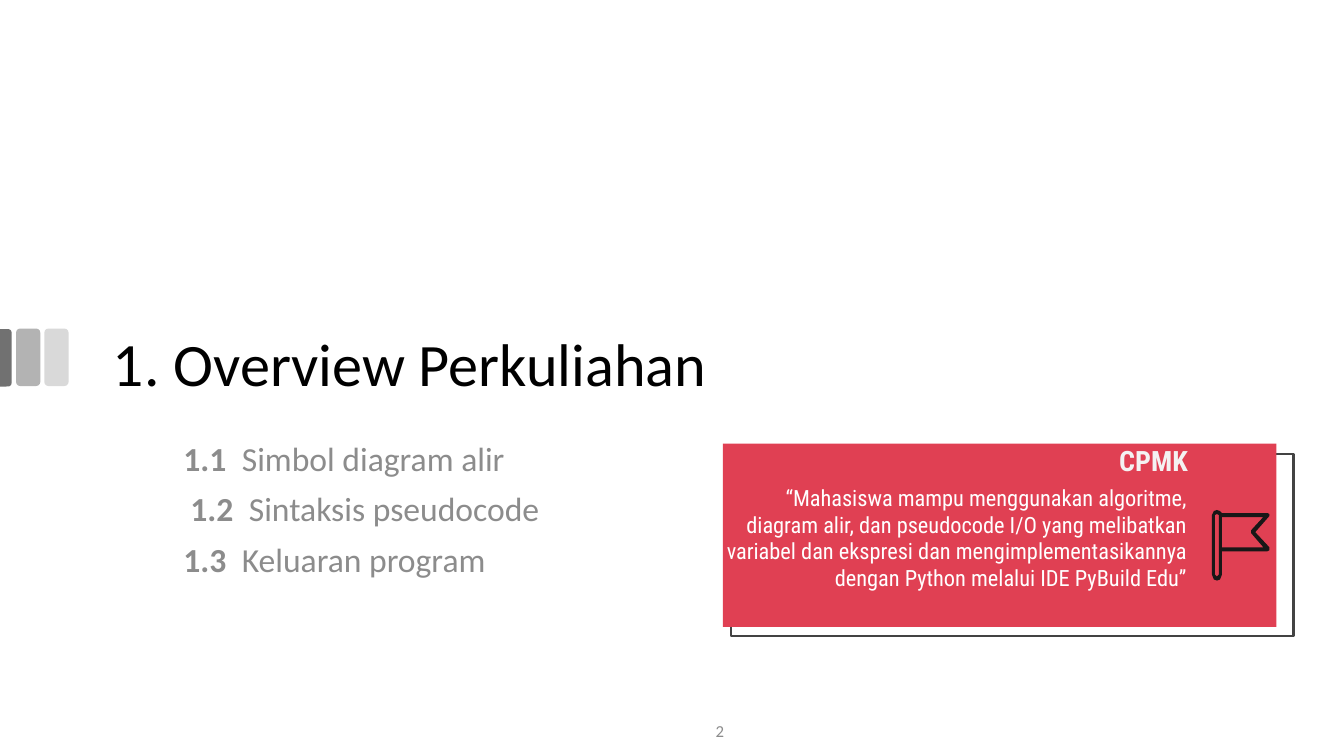
from pptx import Presentation
from pptx.dml.color import RGBColor
from pptx.enum.shapes import MSO_SHAPE as Preset
from pptx.enum.text import MSO_ANCHOR as Anchor, MSO_AUTO_SIZE as AutoSize, PP_ALIGN as Align
from pptx.util import Pt

PX = 9144  # 100 px to the inch

BLACK = RGBColor(0x00, 0x00, 0x00)
WHITE = RGBColor(0xFF, 0xFF, 0xFF)
OFF_WHITE = RGBColor(0xF4, 0xF2, 0xF2)
GREY = RGBColor(0x8C, 0x8C, 0x8C)
LIGHT_BAR = RGBColor(0xD9, 0xD9, 0xD9)
MID_BAR = RGBColor(0xB3, 0xB3, 0xB3)
DARK_BAR = RGBColor(0x71, 0x71, 0x71)
FRAME = RGBColor(0x43, 0x43, 0x43)
RED = RGBColor(0xE0, 0x40, 0x53)
INK = RGBColor(0x18, 0x17, 0x17)


def emu(*lengths):
    return [length * PX for length in lengths]


def write(box, runs, *, font="Calibri", color=GREY, align=Align.LEFT, anchor=Anchor.TOP,
          inset=5, spacing=None, before=0, indents=(0,)):
    """Fill box with one paragraph per indent; runs holds (text, size, bold) lists."""
    frame = box.text_frame
    frame.word_wrap, frame.auto_size = True, AutoSize.NONE
    frame.vertical_anchor = anchor
    frame.margin_left = frame.margin_right = 10 * PX
    frame.margin_top = frame.margin_bottom = inset * PX
    for index, (line, indent) in enumerate(zip(runs, indents)):
        paragraph = frame.add_paragraph() if index else frame.paragraphs[0]
        paragraph.alignment = align
        paragraph.line_spacing = spacing
        paragraph.space_before = Pt(before)
        if indent:
            properties = paragraph._p.get_or_add_pPr()
            properties.set("marL", str((indent + 58) * PX))
            properties.set("indent", str(-58 * PX))
        for text, size, bold in line:
            run = paragraph.add_run()
            run.text = text
            run.font.name, run.font.size, run.font.bold = font, Pt(size), bold
            run.font.color.rgb = color


deck = Presentation()
deck.slide_width, deck.slide_height = emu(1333, 750)
slide = deck.slides.add_slide(deck.slide_layouts[5])
shapes = slide.shapes

# Bars at the left edge and the red card
for preset, place, fill, corners in (
    (Preset.ROUNDED_RECTANGLE, (44, 326, 24, 57), LIGHT_BAR, (0.17,)),
    (Preset.ROUNDED_RECTANGLE, (16, 326, 24, 57), MID_BAR, (0.17,)),
    (Preset.ROUND_2_SAME_RECTANGLE, (-23, 349, 57, 12), DARK_BAR, (0.29, 0)),
    (Preset.RECTANGLE, (725, 450, 558, 181), None, ()),
    (Preset.RECTANGLE, (717, 440, 549, 182), RED, ()),
):
    block = shapes.add_shape(preset, *emu(*place))
    block.shadow.inherit = False
    for number, corner in enumerate(corners):
        block.adjustments[number] = corner
    if preset == Preset.ROUND_2_SAME_RECTANGLE:
        block.rotation = 90
    if fill is None:
        block.fill.background()
        block.line.color.rgb, block.line.width = FRAME, Pt(1.5)
    else:
        block.fill.solid()
        block.fill.fore_color.rgb = fill
        block.line.fill.background()

# Title and topics
title = shapes.title
title.left, title.top, title.width, title.height = emu(102, 302, 1150, 100)
write(title, [[("1. ", 44, False), ("Overview Perkuliahan", 43, False)]],
      color=BLACK, anchor=Anchor.BOTTOM, spacing=0.9)

topics = ("Simbol diagram alir", "Sintaksis pseudocode", "Keluaran program")
write(shapes.add_textbox(*emu(116, 434, 759, 217)),
      [[(f"1.{number}\t", 24, True), (topic, 24, False)]
       for number, topic in enumerate(topics, 1)],
      align=Align.JUSTIFY, spacing=0.9, before=10, indents=(56, 63, 56))

# Learning outcome
outcome = ("“Mahasiswa mampu menggunakan algoritme, diagram alir, dan pseudocode I/O "
           "yang melibatkan variabel dan ekspresi dan mengimplementasikannya "
           "dengan Python melalui IDE PyBuild Edu”")
write(shapes.add_textbox(*emu(704, 470, 483, 133)), [[(outcome, 16, False)]],
      font="Roboto Condensed", color=WHITE, align=Align.RIGHT, inset=10)
write(shapes.add_textbox(*emu(837, 422, 351, 61)), [[("CPMK", 20, True)]],
      font="Roboto Condensed", color=OFF_WHITE, align=Align.RIGHT,
      anchor=Anchor.BOTTOM, inset=10)

# Flag: outer edge, then the openings in the cloth and the pole
flag_edge = ((1207, 506), (1204, 507), (1202, 511), (1202, 570), (1204, 575), (1207, 576),
             (1210, 575), (1212, 570), (1212, 547), (1257, 547), (1259, 546), (1259, 543),
             (1245, 528), (1259, 512), (1259, 510), (1257, 509), (1212, 509), (1210, 507))
cloth_opening = ((1253, 513), (1241, 526), (1241, 529), (1253, 543), (1212, 543), (1212, 513))
pole_opening = ((1207, 510), (1209, 511), (1209, 570), (1207, 572), (1205, 570), (1205, 511))
outline = shapes.build_freeform(*flag_edge[0], scale=PX)
outline.add_line_segments(flag_edge[1:])
for opening in (cloth_opening, pole_opening):
    outline.move_to(*opening[0])
    outline.add_line_segments(opening[1:])
flag = outline.convert_to_shape()
flag.shadow.inherit = False
flag.fill.solid()
flag.fill.fore_color.rgb = INK
flag.line.fill.background()

write(shapes.add_textbox(*emu(564, 705, 300, 40)), [[("2", 12, False)]],
      align=Align.CENTER, anchor=Anchor.MIDDLE)

deck.save("out.pptx")
